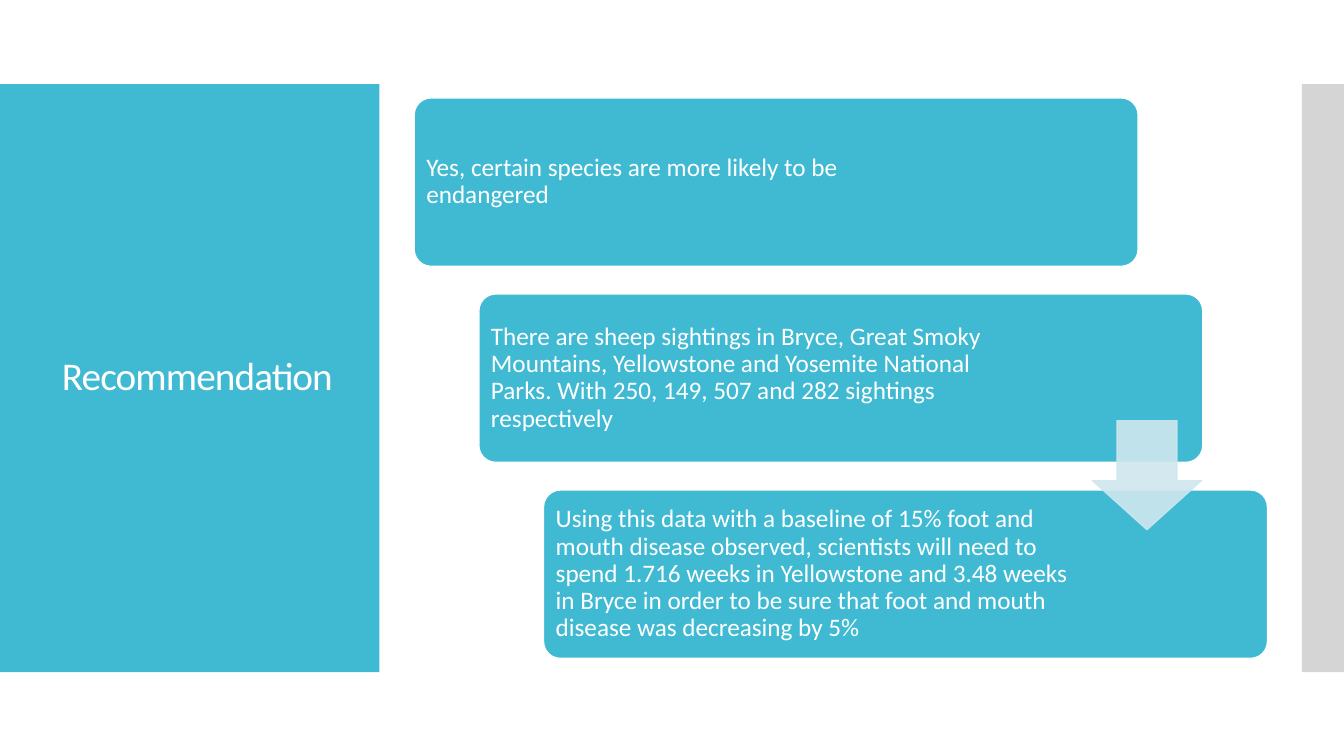
from dataclasses import dataclass

from lxml.etree import SubElement
from pptx import Presentation
from pptx.dml.color import RGBColor
from pptx.enum.shapes import MSO_SHAPE
from pptx.enum.text import MSO_ANCHOR, MSO_AUTO_SIZE, PP_ALIGN
from pptx.oxml.ns import qn
from pptx.util import Cm, Pt


@dataclass(frozen=True)
class Theme:
    font: str = "Calibri"
    accent: RGBColor = RGBColor(0x40, 0xBA, 0xD2)
    arrow: RGBColor = RGBColor(0xCF, 0xE7, 0xEE)
    bar: RGBColor = RGBColor(0xC8, 0xC8, 0xC8)
    white: RGBColor = RGBColor(0xFF, 0xFF, 0xFF)
    title_size: Pt = Pt(28)
    body_size: Pt = Pt(18)
    outline: Pt = Pt(0.85)


THEME = Theme()

FINDINGS = [
    "Yes, certain species are more likely to be endangered",
    "There are sheep sightings in Bryce, Great Smoky Mountains, Yellowstone "
    "and Yosemite National Parks. With 250, 149, 507 and 282 sightings respectively",
    "Using this data with a baseline of 15% foot and mouth disease observed, "
    "scientists will need to spend 1.716 weeks in Yellowstone and 3.48 weeks in Bryce "
    "in order to be sure that foot and mouth disease was decreasing by 5%",
]

BAND_TOP, BAND_HEIGHT = 2.12, 14.82
CARD_LEFT, CARD_TOP = 10.44, 2.47
CARD_WIDTH, CARD_HEIGHT = 18.24, 4.24
STEP_X, STEP_Y = 1.63, 4.94
ARROW_SIZE = 2.75


def set_opacity(fill, percent):
    for color in fill._xPr.iter(qn("a:srgbClr")):
        SubElement(color, qn("a:alpha")).set("val", str(percent * 1000))


def add_block(page, kind, left, top, width, height, color, outline=None):
    """Add a flat filled shape, measured in centimetres."""
    block = page.shapes.add_shape(kind, Cm(left), Cm(top), Cm(width), Cm(height))
    block.shadow.inherit = False
    block.fill.solid()
    block.fill.fore_color.rgb = color
    if outline is None:
        block.line.fill.background()
    else:
        block.line.color.rgb = outline
        block.line.width = THEME.outline
    return block


def write(frame, text, size):
    """Write one left-aligned, vertically centred paragraph and return its run."""
    frame.word_wrap = True
    frame.auto_size = MSO_AUTO_SIZE.NONE
    frame.vertical_anchor = MSO_ANCHOR.MIDDLE
    para = frame.paragraphs[0]
    para.alignment = PP_ALIGN.LEFT
    para.line_spacing = 0.9
    span = para.add_run()
    span.text = text
    span.font.name = THEME.font
    span.font.size = size
    span.font.color.rgb = THEME.white
    return span


def add_title(page, text):
    title = page.shapes.title
    title.left, title.top = Cm(0.71), Cm(3.12)
    title.width, title.height = Cm(8.18), Cm(12.78)
    title.text_frame.margin_left = Cm(0.85)
    span = write(title.text_frame, text, THEME.title_size)
    span.font._element.set("spc", "-60")


def add_card(page, index, text):
    card = add_block(page, MSO_SHAPE.ROUNDED_RECTANGLE,
                     CARD_LEFT + index * STEP_X, CARD_TOP + index * STEP_Y,
                     CARD_WIDTH, CARD_HEIGHT, THEME.accent, THEME.white)
    card.adjustments[0] = 0.1
    frame = card.text_frame
    frame.margin_left = frame.margin_top = frame.margin_bottom = Cm(0.18)
    frame.margin_right = Cm(4.5)
    write(frame, text, THEME.body_size)


def add_down_arrow(page, left, top):
    arrow = add_block(page, MSO_SHAPE.DOWN_ARROW, left, top,
                      ARROW_SIZE, ARROW_SIZE, THEME.arrow, THEME.arrow)
    arrow.adjustments[0] = 0.55
    arrow.adjustments[1] = 0.45
    set_opacity(arrow.fill, 90)


def main():
    deck = Presentation()
    deck.slide_width, deck.slide_height = Cm(33.87), Cm(19.05)
    page = deck.slides.add_slide(deck.slide_layouts.get_by_name("Title Only"))

    panel = add_block(page, MSO_SHAPE.RECTANGLE, 0, BAND_TOP, 9.56, BAND_HEIGHT, THEME.accent)
    page.shapes.title._element.addprevious(panel._element)
    side_bar = add_block(page, MSO_SHAPE.RECTANGLE, 32.81, BAND_TOP, 1.06, BAND_HEIGHT, THEME.bar)
    set_opacity(side_bar.fill, 75)

    add_title(page, "Recommendation")
    for index, finding in enumerate(FINDINGS):
        add_card(page, index, finding)
    add_down_arrow(page, 27.53, 10.6)

    deck.save("out.pptx")


if __name__ == "__main__":
    main()
